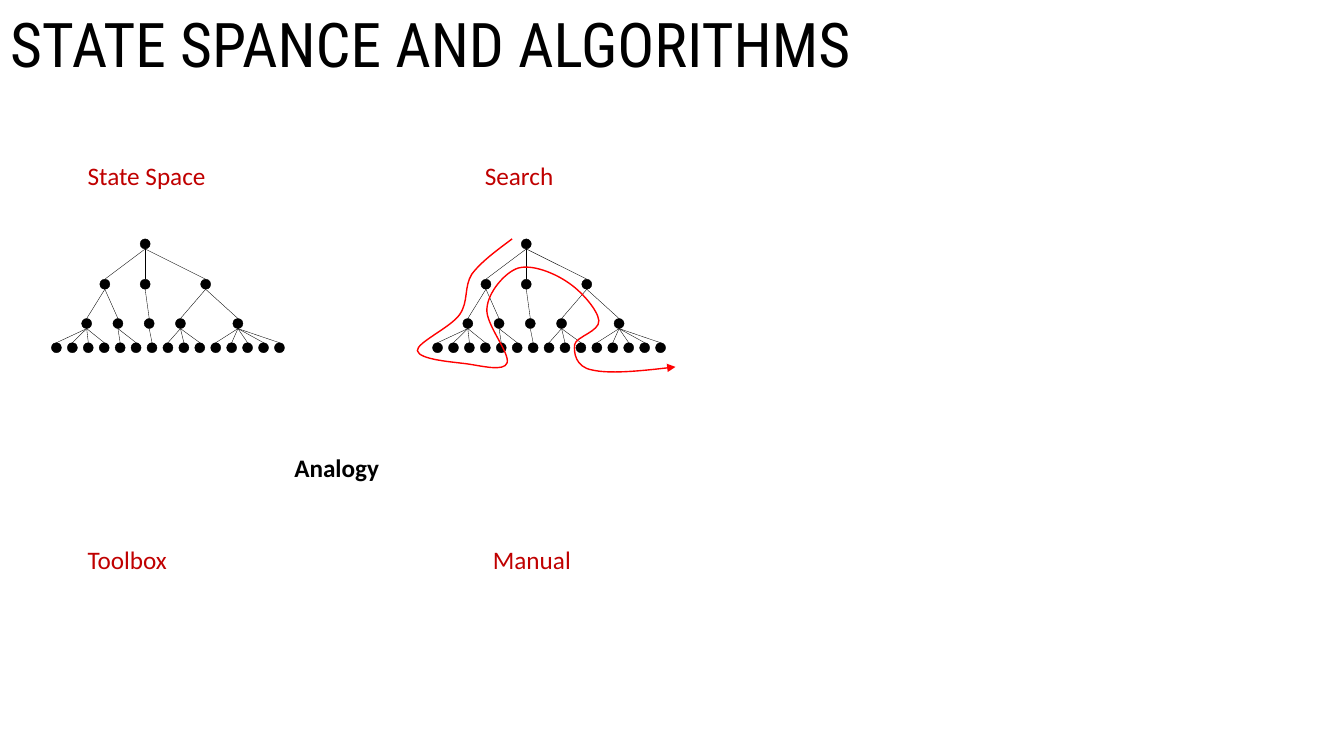
from lxml import etree
from pptx import Presentation
from pptx.dml.color import RGBColor
from pptx.enum import shapes, text
from pptx.oxml import ns
from pptx.util import Inches, Pt

BLACK = RGBColor(0x00, 0x00, 0x00)
DARK_RED = RGBColor(0xC0, 0x00, 0x00)
RED = RGBColor(0xFF, 0x00, 0x00)

NODE_SIZE = 0.1
ROW_TOPS = [2.37, 2.77, 3.16, 3.4]
# Node centres of each row, measured from the root
ROW_CENTRES = [
    [0],
    [-0.4, 0, 0.6],
    [-0.58, -0.27, 0.04, 0.35, 0.92],
    [-0.88 + 0.158 * leaf for leaf in range(15)],
]
# Number of children of each node, row by row
CHILD_COUNTS = [[3], [2, 1, 2], [4, 2, 1, 3, 5]]

SEARCH_START = (5.08, 2.37)
# Two control points and an end point for each curve
SEARCH_CURVES = [
    [(4.92, 2.49), (4.77, 2.6), (4.68, 2.72)],
    [(4.6, 2.85), (4.65, 2.99), (4.56, 3.12)],
    [(4.47, 3.25), (4.13, 3.4), (4.14, 3.48)],
    [(4.16, 3.57), (4.49, 3.59), (4.63, 3.61)],
    [(4.78, 3.63), (5, 3.69), (5.03, 3.6)],
    [(5.06, 3.5), (4.81, 3.21), (4.83, 3.06)],
    [(4.84, 2.9), (5.01, 2.7), (5.14, 2.66)],
    [(5.28, 2.62), (5.5, 2.71), (5.63, 2.8)],
    [(5.77, 2.89), (5.93, 3.08), (5.94, 3.18)],
    [(5.95, 3.29), (5.71, 3.34), (5.7, 3.42)],
    [(5.69, 3.5), (5.71, 3.64), (5.87, 3.67)],
    [(6.04, 3.71), (6.37, 3.68), (6.7, 3.64)],
]


class SlideBuilder:
    """Holds the style and the current slide."""

    title_font = "Roboto Condensed"
    label_font = "Calibri"

    def __init__(self, page):
        self.page = page

    def add_span(self, para, words, font, size, color, bold=False):
        span = para.add_run()
        span.text = words
        span.font.name = font
        span.font.size = Pt(size)
        span.font.color.rgb = color
        span.font.bold = bold

    def title(self, words):
        box = self.page.shapes.title
        box.left, box.top = Inches(0), Inches(0)
        box.width, box.height = Inches(11.5), Inches(0.94)
        frame = box.text_frame
        frame.auto_size = text.MSO_AUTO_SIZE.NONE
        frame.vertical_anchor = text.MSO_ANCHOR.MIDDLE
        para = frame.paragraphs[0]
        para.alignment = text.PP_ALIGN.LEFT
        para.line_spacing = 0.9
        self.add_span(para, words, self.title_font, 44, BLACK)

    def label(self, words, left, top, width, color=DARK_RED, bold=False):
        box = self.page.shapes.add_textbox(
            Inches(left), Inches(top), Inches(width), Inches(0.4))
        frame = box.text_frame
        frame.word_wrap = False
        frame.auto_size = text.MSO_AUTO_SIZE.SHAPE_TO_FIT_TEXT
        self.add_span(frame.paragraphs[0], words, self.label_font, 18, color, bold)

    def node(self, group, centre, top):
        dot = group.shapes.add_shape(
            shapes.MSO_SHAPE.OVAL, Inches(centre - NODE_SIZE / 2), Inches(top),
            Inches(NODE_SIZE), Inches(NODE_SIZE))
        dot.shadow.inherit = False
        dot.fill.solid()
        dot.fill.fore_color.rgb = BLACK
        dot.line.color.rgb = BLACK
        dot.line.width = Pt(0.25)

    def edge(self, group, start, end):
        line = group.shapes.add_connector(
            shapes.MSO_CONNECTOR.STRAIGHT, *map(Inches, start + end))
        line.line.color.rgb = BLACK
        line.line.width = Pt(0.25)
        etree.SubElement(line._element.spPr, ns.qn("a:effectLst"))

    def tree(self, root_x):
        group = self.page.shapes.add_group_shape()
        for top, centres in zip(ROW_TOPS, ROW_CENTRES):
            for centre in centres:
                self.node(group, root_x + centre, top)
        for row, counts in enumerate(CHILD_COUNTS):
            children = iter(ROW_CENTRES[row + 1])
            for parent, count in zip(ROW_CENTRES[row], counts):
                start = (root_x + parent, ROW_TOPS[row] + NODE_SIZE)
                for _ in range(count):
                    end = (root_x + next(children), ROW_TOPS[row + 1])
                    self.edge(group, start, end)

    def curved_arrow(self, start, curves, color):
        """Draw cubic curves that end in an arrowhead."""
        points = [point for curve in curves for point in curve]
        builder = self.page.shapes.build_freeform(
            *map(Inches, start), scale=1.0)
        builder.add_line_segments(
            [(Inches(x), Inches(y)) for x, y in points], close=False)
        arrow = builder.convert_to_shape()
        arrow.shadow.inherit = False
        arrow.fill.background()
        arrow.line.color.rgb = color
        arrow.line.width = Pt(1)

        segments = list(arrow._element.iter(ns.qn("a:lnTo")))
        outline = segments[0].getparent()
        for first in range(0, len(segments), 3):
            bezier = etree.SubElement(outline, ns.qn("a:cubicBezTo"))
            for segment in segments[first:first + 3]:
                bezier.append(segment[0])
                outline.remove(segment)
        etree.SubElement(
            arrow.line._get_or_add_ln(), ns.qn("a:tailEnd"), type="triangle")


def main():
    deck = Presentation()
    deck.slide_width, deck.slide_height = Inches(13.33), Inches(7.5)
    title_only = deck.slide_layouts[5]
    slide = SlideBuilder(deck.slides.add_slide(title_only))

    slide.title("STATE SPANCE AND ALGORITHMS")
    slide.label("State Space", 0.77, 1.54, 1.39)
    slide.label("Search", 4.71, 1.54, 0.89)
    slide.label("Toolbox", 0.77, 5.35, 1)
    slide.label("Manual", 4.79, 5.35, 0.98)
    for root_x in (1.44, 5.22):
        slide.tree(root_x)
    slide.curved_arrow(SEARCH_START, SEARCH_CURVES, RED)
    slide.label("Analogy", 2.82, 4.44, 1.05, BLACK, bold=True)

    deck.save("out.pptx")


if __name__ == "__main__":
    main()
